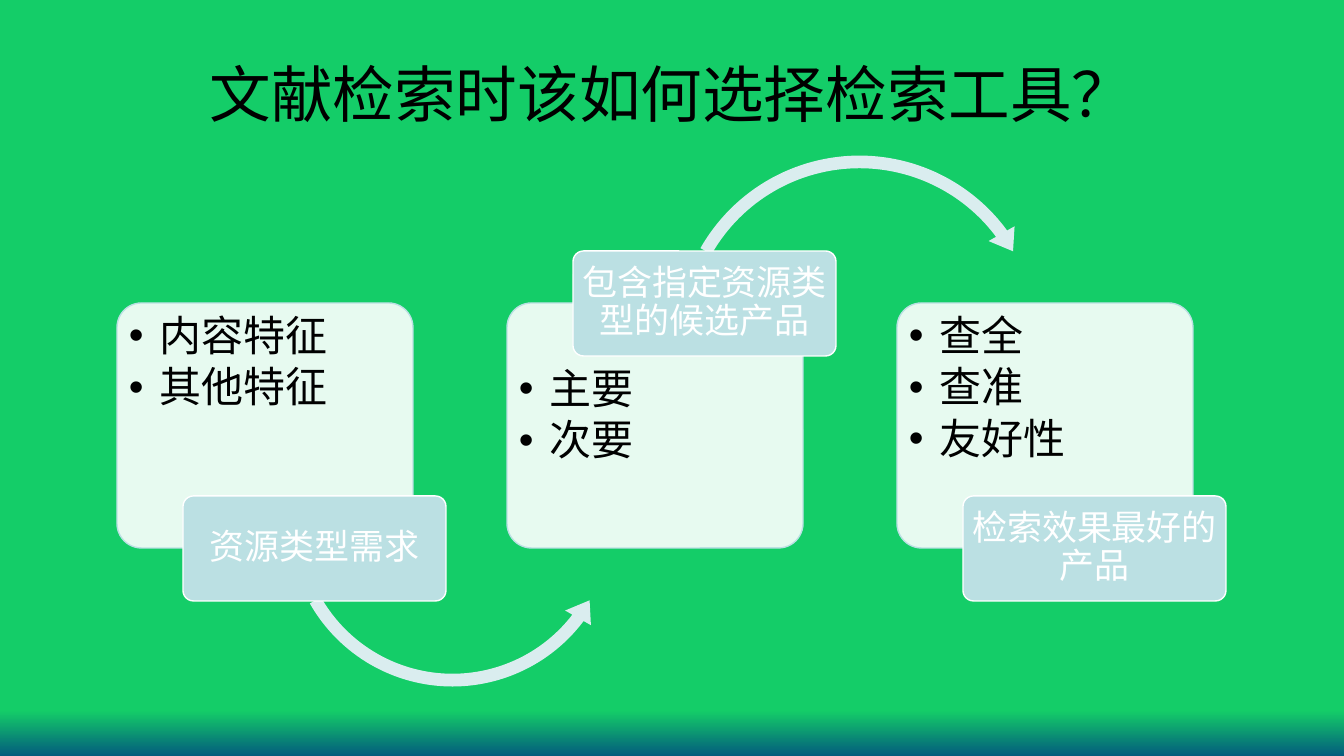
import lxml.etree
import pptx
import pptx.dml.color
import pptx.enum.shapes
import pptx.enum.text
import pptx.oxml.ns
import pptx.util

PIXEL = 914400 / 100.8
COLORS = {
    "green": "14CD68",
    "navy": "035C7D",
    "white": "FFFFFF",
    "black": "000000",
    "teal": "BBE0E3",
    "arrow": "DAEDEF",
}
SHAPES = pptx.enum.shapes.MSO_SHAPE
ANCHORS = pptx.enum.text.MSO_ANCHOR
CARD_LEFT, CARD_TOP, CARD_PITCH = 117, 303, 390
CARD_WIDTH, CARD_HEIGHT = 296, 245
STAGES = [
    ("资源类型需求", ["内容特征", "其他特征"], False),
    ("包含指定资源类型的候选产品", ["主要", "次要"], True),
    ("检索效果最好的产品", ["查全", "查准", "友好性"], False),
]
ARROWS = [
    (SHAPES.LEFT_CIRCULAR_ARROW, (280, 350, 345, 345),
     (0.037, 4.586, 22.341, 90.245, 0.043)),
    (SHAPES.CIRCULAR_ARROW, (668, 147, 383, 383),
     (0.033, 4.096, 194.149, 125.755, 0.039)),
]


def px(length):
    return pptx.util.Emu(round(length * PIXEL))


def rgb(name):
    return pptx.dml.color.RGBColor.from_string(COLORS[name])


def add_child(parent, tag, **attributes):
    return lxml.etree.SubElement(parent, pptx.oxml.ns.qn(tag), attributes)


def paint_background(slide):
    fill = slide.background.fill
    fill.gradient()
    fill.gradient_angle = 270
    for stop, position, color in zip(fill.gradient_stops, (0.94, 1), ("green", "navy")):
        stop.position = position
        stop.color.rgb = rgb(color)


def add_shape(slide, preset, box, fill, line=None, adjustments=()):
    shape = slide.shapes.add_shape(preset, *map(px, box))
    shape.shadow.inherit = False
    shape.fill.solid()
    shape.fill.fore_color.rgb = rgb(fill)
    if line:
        shape.line.color.rgb = rgb(line)
        shape.line.width = pptx.util.Pt(1)
    else:
        shape.line.fill.background()
    for index, value in enumerate(adjustments):
        shape.adjustments[index] = value
    return shape


def add_text(slide, box, lines, size, color, insets, anchor, bullets=False, spacing=0.9):
    frame = slide.shapes.add_textbox(*map(px, box)).text_frame
    frame.word_wrap = True
    frame.vertical_anchor = anchor
    frame.margin_left = frame.margin_right = px(insets[0])
    frame.margin_top = frame.margin_bottom = px(insets[1])
    for index, line in enumerate(lines):
        paragraph = frame.paragraphs[0] if index == 0 else frame.add_paragraph()
        paragraph.line_spacing = spacing
        if bullets:
            paragraph.alignment = pptx.enum.text.PP_ALIGN.LEFT
            paragraph.space_after = pptx.util.Pt(4.5)
            properties = paragraph._p.get_or_add_pPr()
            properties.set("marL", str(px(31)))
            properties.set("indent", str(px(-31)))
            add_child(properties, "a:buFont", typeface="Arial")
            add_child(properties, "a:buChar", char="•")
        else:
            paragraph.alignment = pptx.enum.text.PP_ALIGN.CENTER
        run = paragraph.add_run()
        run.text = line
        run.font.name = "Arial"
        run.font.size = pptx.util.Pt(size)
        run.font.color.rgb = rgb(color)


def add_title(slide, box):
    add_text(slide, box, ["文献检索时该如何选择检索工具？"], 44, "black",
             (10, 5), ANCHORS.MIDDLE, spacing=1)


def add_card(slide, box, items, tag_on_top):
    left, top, width, height = box
    card = add_shape(slide, SHAPES.ROUNDED_RECTANGLE, box, "white", "teal", [0.1])
    fill_color = card.fill._xPr.find(".//" + pptx.oxml.ns.qn("a:srgbClr"))
    add_child(fill_color, "a:alpha", val="90000")
    list_top = top + (59 if tag_on_top else 6)
    add_text(slide, (left + 6, list_top, width - 11, 180), items, 30, "black",
             (6, 6), ANCHORS.TOP, bullets=True)


def add_tag(slide, card_box, label, on_top):
    left, top, width, height = card_box
    tag_left = left + 66
    tag_top = top - 52 if on_top else top + height - 52
    add_shape(slide, SHAPES.ROUNDED_RECTANGLE, (tag_left, tag_top, 263, 105),
              "teal", "white", [0.1])
    add_text(slide, (tag_left + 3, tag_top + 3, 257, 99), [label], 25, "white",
             (5, 3), ANCHORS.MIDDLE)


def add_process(slide):
    for index, (label, items, tag_on_top) in enumerate(STAGES):
        box = (CARD_LEFT + index * CARD_PITCH, CARD_TOP, CARD_WIDTH, CARD_HEIGHT)
        add_card(slide, box, items, tag_on_top)
        if index < len(ARROWS):
            preset, arrow_box, adjustments = ARROWS[index]
            add_shape(slide, preset, arrow_box, "arrow", adjustments=adjustments)
        add_tag(slide, box, label, tag_on_top)


def main():
    presentation = pptx.Presentation()
    presentation.slide_width = px(1344)
    presentation.slide_height = px(756)
    slide = presentation.slides.add_slide(presentation.slide_layouts[6])
    paint_background(slide)
    add_title(slide, (67, 30, 1210, 126))
    add_process(slide)
    presentation.save("out.pptx")


if __name__ == "__main__":
    main()
